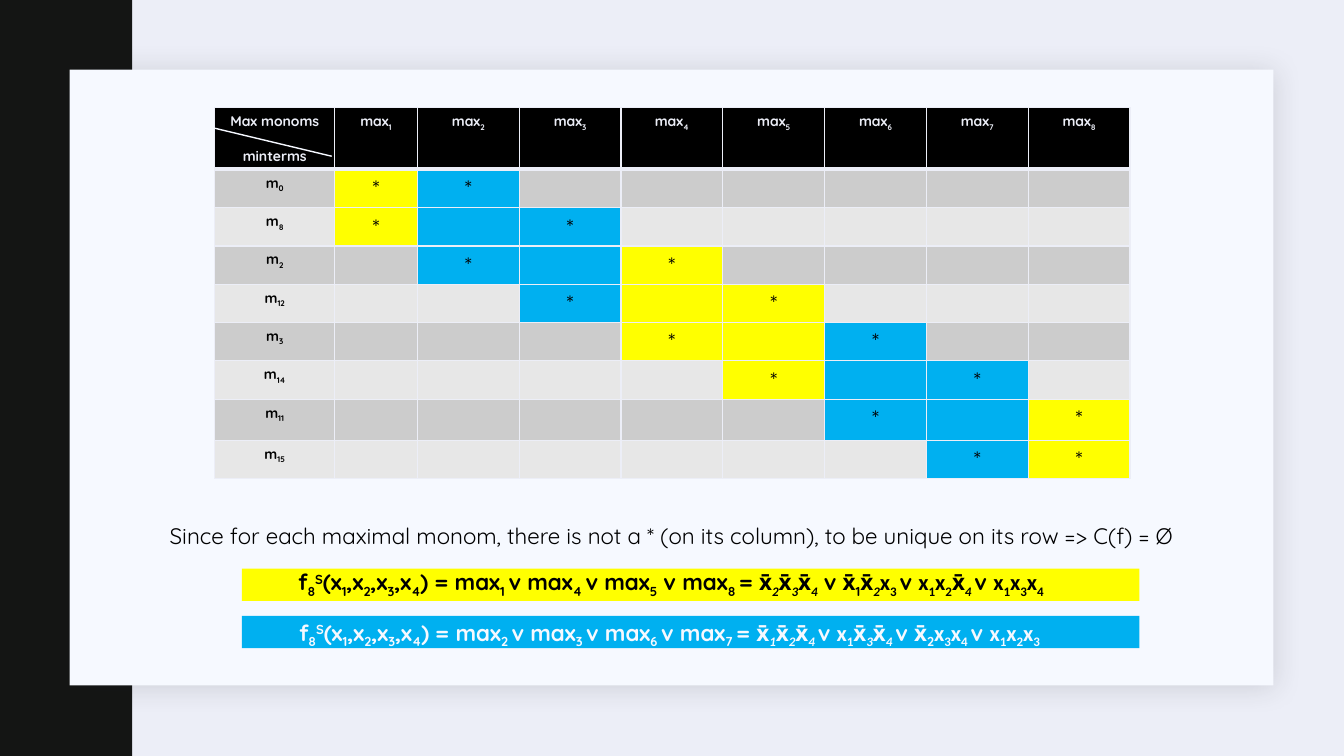
from lxml.etree import SubElement
from pptx import Presentation
from pptx.dml.color import RGBColor
from pptx.enum.shapes import MSO_CONNECTOR as LINE, MSO_SHAPE as SHAPE
from pptx.enum.text import PP_ALIGN as ALIGN
from pptx.oxml import parse_xml
from pptx.oxml.ns import nsdecls, qn
from pptx.util import Inches, Pt

YELLOW, BLUE, PALE, PANEL = "FFFF00", "00B0F0", "ECEEF7", "F6F9FF"
# Run styles: font, baseline, italic
STYLES = {
    "-": ("Quicksand", 0, False),
    "_": ("Quicksand", -25000, False),
    "^": ("Quicksand", 30000, False),
    "x": ("Calibri", 0, False),
    "c": ("Calibri", -25000, False),
    "i": ("Calibri", -25000, True),
}


def rgb(code):
    return RGBColor.from_string(code)


def write(par, marked, size, color, bold=False):
    """Write runs split by |, each led by its style key; X is a barred x."""
    par.alignment = ALIGN.CENTER
    par.font.size, par.font.bold = Pt(size), bold
    par.font.color.rgb = rgb(color)
    for part in marked.split("|"):
        run = par.add_run()
        run.text = part[1:].replace("X", "x\u0304")
        name, base, slant = STYLES[part[0]]
        run.font.name = name
        if slant:
            run.font.italic = True
        if base:
            run._r.get_or_add_rPr().set("baseline", str(base))


deck = Presentation()
deck.slide_width, deck.slide_height = Inches(13.33), Inches(7.5)
slide = deck.slides.add_slide(deck.slide_layouts[6])
slide.background.fill.solid()
slide.background.fill.fore_color.rgb = rgb(PALE)

# Side band, panel and formula bars
for left, top, width, height, color in [
    (0, 0, 1.31, 7.5, "141514"),
    (0.69, 0.69, 11.94, 6.11, PANEL),
    (2.4, 5.64, 8.9, 0.32, YELLOW),
    (2.4, 6.11, 8.9, 0.32, BLUE),
]:
    box = slide.shapes.add_shape(
        SHAPE.RECTANGLE, Inches(left), Inches(top), Inches(width), Inches(height))
    box.shadow.inherit = False
    box.fill.solid()
    box.fill.fore_color.rgb = rgb(color)
    box.line.fill.background()
    if color == PANEL:
        glow = box._element.spPr.find(qn("a:effectLst"))
        glow.append(parse_xml(
            f'<a:outerShdw {nsdecls("a")} blurRad="254000" dist="25400" dir="2700000">'
            '<a:srgbClr val="1F2125"><a:alpha val="15000"/></a:srgbClr></a:outerShdw>'))

# Conclusion and the two formulas
HEAD = "-f|_8|^S|-(x|_1|-,x|_2|-,x|_3|-,x|_4|-) = max|"
FIRST = ("_1 |-v max|_4 |-v max|_5|- v max|_8 |-= |xX|i2|xX|i3|xX|i4|- v |"
         "xX|_1|xX|i2|xx|c3 |-v |xx|c1|xx|c2|xX|i4 |-v |xx|c1|xx|c3|xx|c4")
SECOND = ("_2 |-v max|_3 |-v max|_6 |-v max|_7 |-= |xX|i1|xX|i2|xX|i4 |-v |"
          "xx|c1|xX|i3|xX|i4 |-v |xX|_2|xx|c3|xx|c4 |-v |xx|c1|xx|c2|xx|c3 ")
text = slide.shapes.add_textbox(
    Inches(1.06), Inches(5.18), Inches(11.19), Inches(1.3)).text_frame
text.word_wrap = True
text.margin_left = text.margin_right = text.margin_top = text.margin_bottom = 0
pars = [text.paragraphs[0], text.add_paragraph(), text.add_paragraph()]
write(pars[0], "-Since for each maximal monom, there is not a * (on its column), "
      "to be unique on its row => C(f) = Ø", 16, "000000")
write(pars[1], HEAD + FIRST, 16, "000000", True)
write(pars[2], HEAD + SECOND, 16, PANEL, True)
for par in pars:
    par.space_before, par.space_after = Pt(0), Pt(14)

# Table of minterms against maximal monoms
TERMS = [0, 8, 2, 12, 3, 14, 11, 15]
COLS = [1.19, 0.82] + [1.01] * 7
ROWS = [0.61] + [0.38] * 6 + [0.41, 0.38]
grid = slide.shapes.add_table(
    9, 9, Inches(2.13), Inches(1.07), Inches(sum(COLS)), Inches(sum(ROWS))).table
for col, width in zip(grid.columns, COLS):
    col.width = Inches(width)
for row, height in zip(grid.rows, ROWS):
    row.height = Inches(height)

for r in range(9):
    for c in range(9):
        cell = grid.cell(r, c)
        par = cell.text_frame.paragraphs[0]
        stars = max(c - 1, 1), min(c + 1, 8)
        color = "E7E7E7" if r % 2 == 0 else "CCCCCC"
        if r == 0:
            color = "000000"
            if c:
                write(par, f"-max|_{c}", 10, PALE, True)
            else:
                write(par, "-Max monoms", 10, PALE, True)
                lower = cell.text_frame.add_paragraph()
                write(lower, "-minterms", 10, PALE, True)
                lower.space_before = Pt(12.5)
        elif c == 0:
            write(par, f"-m|_{TERMS[r - 1]}", 10, "000000", True)
        else:
            if stars[0] <= r <= stars[1]:
                color = YELLOW if c in (1, 4, 5, 8) else BLUE
            if r in stars:
                write(par, "-*", 16, "000000")
            else:
                par.font.size = Pt(10)
                cell.margin_top = cell.margin_bottom = 0
        # Borders, thicker under the header
        for side in "LRTB":
            thick = (r, side) in [(0, "B"), (1, "T")]
            edge = SubElement(cell._tc.get_or_add_tcPr(), qn("a:ln" + side),
                              w=str(Pt(3 if thick else 1)))
            SubElement(SubElement(edge, qn("a:solidFill")), qn("a:srgbClr"), val=PALE)
        cell.fill.solid()
        cell.fill.fore_color.rgb = rgb(color)

# Diagonal of the corner cell
slash = slide.shapes.add_connector(
    LINE.STRAIGHT, Inches(2.12), Inches(1.27), Inches(3.29), Inches(1.55))
slash.line.color.rgb = rgb("F5F8FF")
slash.line.width = Pt(1)
SubElement(slash._element.spPr, qn("a:effectLst"))

deck.save("out.pptx")
